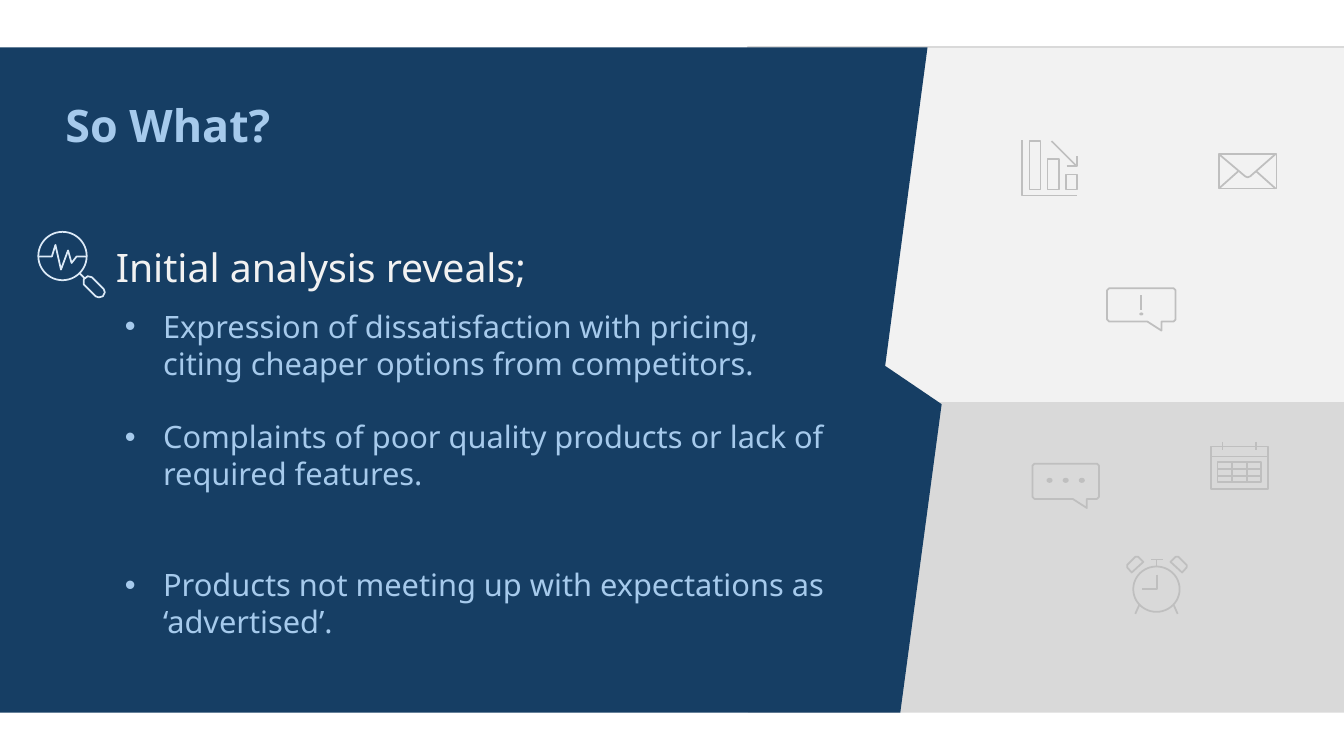
from pptx import Presentation
from pptx.dml.color import RGBColor
from pptx.enum.shapes import MSO_CONNECTOR, MSO_SHAPE
from pptx.oxml.ns import qn
from pptx.util import Inches, Pt
from lxml import etree

RECT, OVAL = MSO_SHAPE.RECTANGLE, MSO_SHAPE.OVAL
LINE = MSO_CONNECTOR.STRAIGHT

# ---- Content ----
WIDE, HIGH = 13.33, 7.5
FONT = "Noto Sans"
HUES = {"navy": "163E64", "sky": "A6CAEC", "pale": "F2F2F2",
        "mist": "D9D9D9", "grey": "BFBFBF", "ice": "DCEAF7"}

PANES = [((7.42, 0.47, 5.92, 3.73), "pale", "mist"),
         ((7.42, 3.99, 5.92, 3.08), "mist", None)]
FIELD = [(-0.02, 0.47), (9.2, 0.47), (8.78, 3.63), (9.34, 4.01),
         (8.93, 7.07), (-0.02, 7.07)]

# Box, size, colour, bold, bullets, then (text, blank lines above)
TEXTS = [
    ((0.55, 0.92, 4.62, 0.64), 32, "sky", True, False, [("So What?", 0)]),
    ((1.05, 2.36, 7.23, 0.57), 28, "pale", False, False,
     [("Initial analysis reveals;", 0)]),
    ((1.14, 3, 7.23, 3.8), 22, "sky", False, True, [
        ("Expression of dissatisfaction with pricing, "
         "citing cheaper options from competitors.", 0),
        ("Complaints of poor quality products or lack of required features.", 1),
        ("Products not meeting up with expectations as ‘advertised’.", 2)]),
]
LEAD = 1.2      # line height as a share of the type size
HANG = 0.38     # bullet indent


def bubble(w, h):
    """Speech bubble with cut corners and a tail at the lower right."""
    return ("loop", [(3, 1), (w - 1, 1), (w + 1, 3), (w + 1, h - 1),
                     (w - 1, h + 1), (55, h + 1), (55, h + 10), (41, h + 1),
                     (3, h + 1), (1, h - 1), (1, 3)])


BELL = [(5.5, 17), (1, 12), (1, 9.5), (9, 1.5), (12, 1.5), (17, 6.5)]

# Icons: origin in inches, colour, marks on a grid of 1/100 inch
ICONS = [
    ((10.97, 2.85), "grey", [
        bubble(68, 33), ("line", [(34.5, 8), (34.5, 23)]),
        ("dot", (33, 25, 4, 3))]),
    ((12.08, 1.52), "grey", [
        ("box", (1, 1, 57, 34)),
        ("line", [(1, 1), (27, 23), (29.5, 24), (32, 23), (57, 1)]),
        ("line", [(1, 35), (20, 18)]), ("line", [(57, 35), (38, 18)])]),
    ((10.13, 1.39), "grey", [
        ("line", [(1, 0), (1, 55), (55, 55)]),
        *[("box", (8 + 18 * i, top, 11, 49 - top))
          for i, top in enumerate((1, 19, 34))],
        ("line", [(30, 1), (54, 25)]),
        ("line", [(45, 26), (55, 26), (55, 16)])]),
    ((10.23, 4.59), "grey", [
        bubble(66, 35), *[("dot", (15 + 16 * i, 15, 6, 5)) for i in range(3)]]),
    ((11.17, 5.51), "grey", [
        ("ring", (7, 11, 46, 45)),
        ("line", [(30.5, 19), (30.5, 33), (16, 33)]),
        ("line", [(30, 4), (30, 11)]), ("line", [(25, 4), (36, 4)]),
        ("line", [(13, 49), (9, 58)]), ("line", [(47, 49), (51, 58)]),
        ("loop", BELL), ("loop", [(61 - x, y) for x, y in BELL])]),
    ((12, 4.38), "grey", [
        ("box", (1, 5, 57, 42)), ("line", [(1, 15), (57, 15)]),
        *[("line", [(x, 0.5), (x, 8.5)]) for x in (12.5, 46)],
        ("box", (7.5, 20, 43.5, 20.5)),
        *[("line", [(x, 20), (x, 40.5)]) for x in (22, 36.5)],
        *[("line", [(7.5, y), (51, y)]) for y in (27, 34)]]),
    ((0.37, 2.29), "ice", [
        ("ring", (1, 1, 48, 48)),
        ("line", [(1, 25.5), (14.5, 25.5), (18, 14), (23.5, 38.5), (30.5, 19.5),
                  (34, 32), (39, 25.5), (49, 25.5)]),
        ("line", [(42, 42), (47, 47)]),
        ("loop", [(46, 48), (50, 45), (54, 46), (66, 58), (67, 61), (65, 65),
                  (61, 66), (58, 65), (46, 53)])]),
]

# ---- Tools ----
deck = Presentation()
deck.slide_width, deck.slide_height = Inches(WIDE), Inches(HIGH)
slide = deck.slides.add_slide(deck.slide_layouts[6])
shapes = slide.shapes


def tint(key):
    return RGBColor.from_string(HUES[key])


def paint(shape, fill=None, line=None, width=1.25):
    shape.shadow.inherit = False
    if fill:
        shape.fill.solid()
        shape.fill.fore_color.rgb = tint(fill)
    else:
        shape.fill.background()
    if line:
        shape.line.color.rgb = tint(line)
        shape.line.width = Pt(width)
    else:
        shape.line.fill.background()
    return shape


def trace(points, close):
    spots = [(Inches(x), Inches(y)) for x, y in points]
    pen = shapes.build_freeform(*spots[0], scale=1.0)
    pen.add_line_segments(spots[1:], close=close)
    return pen.convert_to_shape()


def mark(kind, data, base, hue):
    left, top = base
    if kind in ("line", "loop"):
        spots = [(left + x / 100, top + y / 100) for x, y in data]
        if len(spots) > 2:
            return paint(trace(spots, kind == "loop"), line=hue)
        ends = [Inches(v) for spot in spots for v in spot]
        rule = shapes.add_connector(LINE, *ends)
        rule.line.color.rgb, rule.line.width = tint(hue), Pt(1.25)
        etree.SubElement(rule._element.spPr, qn("a:effectLst"))
        return rule
    x, y, w, h = [v / 100 for v in data]
    form = RECT if kind == "box" else OVAL
    part = shapes.add_shape(form, *map(Inches, (left + x, top + y, w, h)))
    return paint(part, fill=hue) if kind == "dot" else paint(part, line=hue)


# ---- Background ----
for box, fill, line in PANES:
    paint(shapes.add_shape(RECT, *map(Inches, box)), fill, line, 1.5)
paint(trace(FIELD, True), "navy")

# ---- Icons ----
for base, hue, marks in ICONS:
    shapes.add_group_shape([mark(kind, data, base, hue) for kind, data in marks])

# ---- Text ----
for box, size, hue, bold, listed, lines in TEXTS:
    frame = shapes.add_textbox(*map(Inches, box)).text_frame
    frame.word_wrap = True
    for i, (words, gap) in enumerate(lines):
        para = frame.paragraphs[0] if i == 0 else frame.add_paragraph()
        para.space_before = Pt(gap * size * LEAD)
        run = para.add_run()
        run.text = words
        run.font.color.rgb = tint(hue)
        for key, val in {"name": FONT, "size": Pt(size), "bold": bold}.items():
            setattr(run.font, key, val)
        if listed:
            props = para._p.get_or_add_pPr()
            props.set("marL", str(Inches(HANG)))
            props.set("indent", str(-Inches(HANG)))
            etree.SubElement(props, qn("a:buFont"), typeface="Arial")
            etree.SubElement(props, qn("a:buChar"), char="•")

deck.save("out.pptx")
